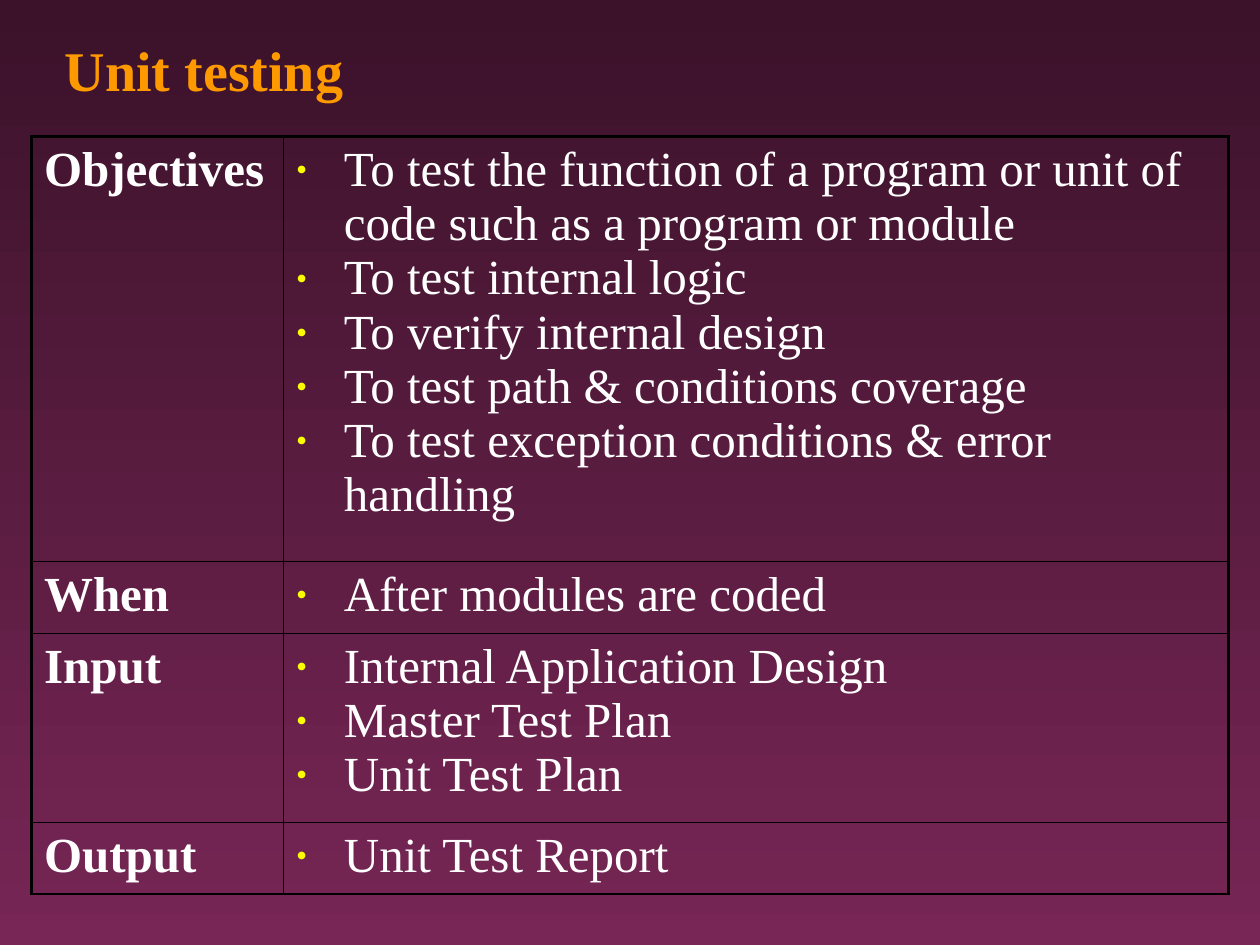
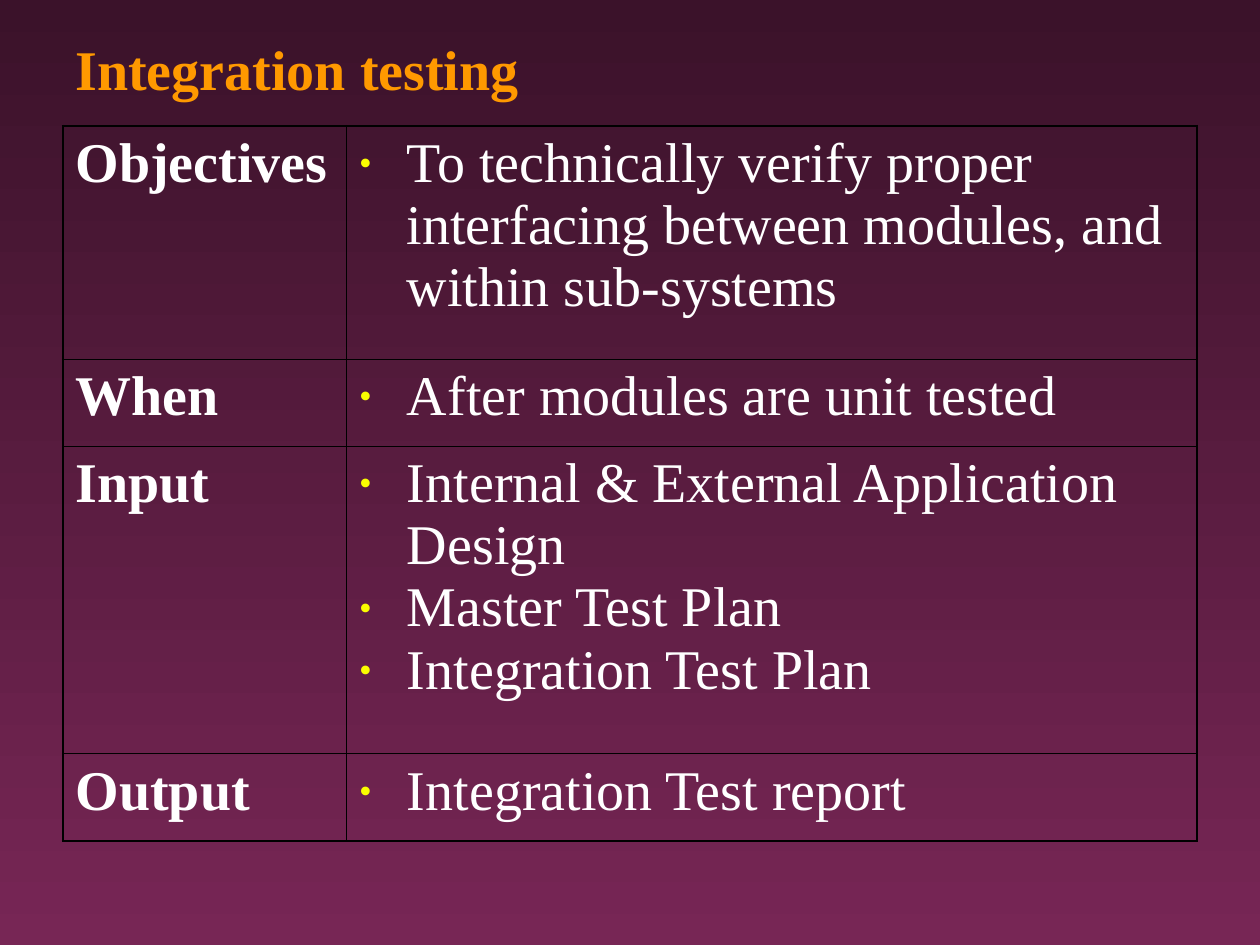
"""Build two slides that sum up unit and integration testing."""
from dataclasses import dataclass
from typing import NamedTuple

from lxml.etree import SubElement as Sub
from pptx import Presentation as Deck
from pptx.dml.color import RGBColor as Color
from pptx.enum.text import MSO_ANCHOR as Anchor
from pptx.oxml.ns import qn
from pptx.util import Inches, Pt


@dataclass(frozen=True)
class Theme:
    """Hold the colours, type sizes and line widths of the deck."""
    font: str = "Times New Roman"
    top: str = "3B122A"
    base: str = "772655"
    head: str = "FF9900"
    text: str = "FFFFFF"
    dot: str = "FAFD00"
    rule: str = "000000"
    title: int = 32
    thick: float = 1.47
    thin: float = 0.45
    hang: float = 0.38


class Box(NamedTuple):
    """Place an item in grid columns and rows."""
    left: float
    top: float
    width: float
    height: float


class Row(NamedTuple):
    """Pair a label with its points and a height in grid rows."""
    label: str
    points: tuple[str, ...]
    height: float


@dataclass(frozen=True)
class Page:
    """Describe one slide: its title and its table."""
    title: str
    head: Box
    left: float
    top: float
    cols: tuple[float, float]
    size: int
    rows: tuple[Row, ...]


THEME = Theme()
WIDE, HIGH = Inches(10), Inches(7.5)
COLS, ROWS = 120, 90

PAGES = (
    Page("Unit testing", Box(5, 2.75, 107, 7.7), 3, 13, (24, 90), 28, (
        Row("Objectives", (
            "To test the function of a program or unit of code such as a program or module",
            "To test internal logic",
            "To verify internal design",
            "To test path & conditions coverage",
            "To test exception conditions & error handling",
        ), 40.45),
        Row("When", ("After modules are coded",), 6.85),
        Row("Input", (
            "Internal Application Design",
            "Master Test Plan",
            "Unit Test Plan",
        ), 18),
        Row("Output", ("Unit Test Report",), 6.85),
    )),
    Page("Integration testing", Box(6, 2.6, 46, 7.7), 6, 12, (27, 81), 32, (
        Row("Objectives", (
            "To technically verify proper interfacing between modules, and within sub-systems",
        ), 22.2),
        Row("When", ("After modules are unit tested",), 8.3),
        Row("Input", (
            "Internal & External Application Design",
            "Master Test Plan",
            "Integration Test Plan",
        ), 29.3),
        Row("Output", ("Integration Test report",), 8.3),
    )),
)


def across(cols: float) -> int:
    """Turn grid columns into a length."""
    return round(WIDE * cols / COLS)


def down(rows: float) -> int:
    """Turn grid rows into a length."""
    return round(HIGH * rows / ROWS)


def write(par, text: str, size: int, tone: str, bold: bool) -> None:
    """Add one styled run to a paragraph."""
    run = par.add_run()
    run.text = text
    font = run.font
    font.name, font.size, font.bold = THEME.font, Pt(size), bold
    font.color.rgb = Color.from_string(tone)


def bullet(par) -> None:
    """Give a paragraph a hanging dot."""
    props = par._p.get_or_add_pPr()
    hang = Inches(THEME.hang)
    props.set("marL", str(hang))
    props.set("indent", str(-hang))
    Sub(Sub(props, qn("a:buClr")), qn("a:srgbClr"), val=THEME.dot)
    Sub(props, qn("a:buSzPct"), val="65000")
    Sub(props, qn("a:buFont"), typeface=THEME.font)
    Sub(props, qn("a:buChar"), char="•")


def edge(cell, outer: dict[str, bool]) -> None:
    """Rule the four sides of a cell and clear its fill."""
    props = cell._tc.get_or_add_tcPr()
    for side, thick in outer.items():
        width = Pt(THEME.thick if thick else THEME.thin)
        line = Sub(props, qn(f"a:ln{side}"), w=str(width))
        Sub(Sub(line, qn("a:solidFill")), qn("a:srgbClr"), val=THEME.rule)
    cell.fill.background()


def paint(slide) -> None:
    """Fade the slide from its top tone to its base tone."""
    fill = slide.background.fill
    fill.gradient()
    fill.gradient_angle = 270
    for stop, tone, place in zip(fill.gradient_stops, (THEME.top, THEME.base), (0, 1)):
        stop.color.rgb = Color.from_string(tone)
        stop.position = place


def title(slide, page: Page) -> None:
    """Draw the slide title."""
    box = page.head
    frame = slide.shapes.add_textbox(
        across(box.left), down(box.top), across(box.width), down(box.height)).text_frame
    frame.word_wrap = True
    frame.vertical_anchor = Anchor.MIDDLE
    write(frame.paragraphs[0], page.title, THEME.title, THEME.head, True)


def grid(slide, page: Page) -> None:
    """Draw the table of labels and points."""
    last = len(page.rows) - 1
    table = slide.shapes.add_table(
        len(page.rows), len(page.cols), across(page.left), down(page.top),
        across(sum(page.cols)), down(sum(row.height for row in page.rows))).table
    table.first_row = table.horz_banding = False
    for col, width in zip(table.columns, page.cols):
        col.width = across(width)
    for at, row in enumerate(page.rows):
        table.rows[at].height = down(row.height)
        label, body = table.cell(at, 0), table.cell(at, 1)
        for cell, first in ((label, True), (body, False)):
            edge(cell, {"L": first, "R": not first, "T": at == 0, "B": at == last})
        write(label.text_frame.paragraphs[0], row.label, page.size, THEME.text, True)
        frame = body.text_frame
        for num, point in enumerate(row.points):
            par = frame.add_paragraph() if num else frame.paragraphs[0]
            bullet(par)
            write(par, point, page.size, THEME.text, False)


def main() -> None:
    """Build and save the deck."""
    deck = Deck()
    deck.slide_width, deck.slide_height = WIDE, HIGH
    for page in PAGES:
        slide = deck.slides.add_slide(deck.slide_layouts[6])
        paint(slide)
        title(slide, page)
        grid(slide, page)
    deck.save("out.pptx")


if __name__ == "__main__":
    main()
